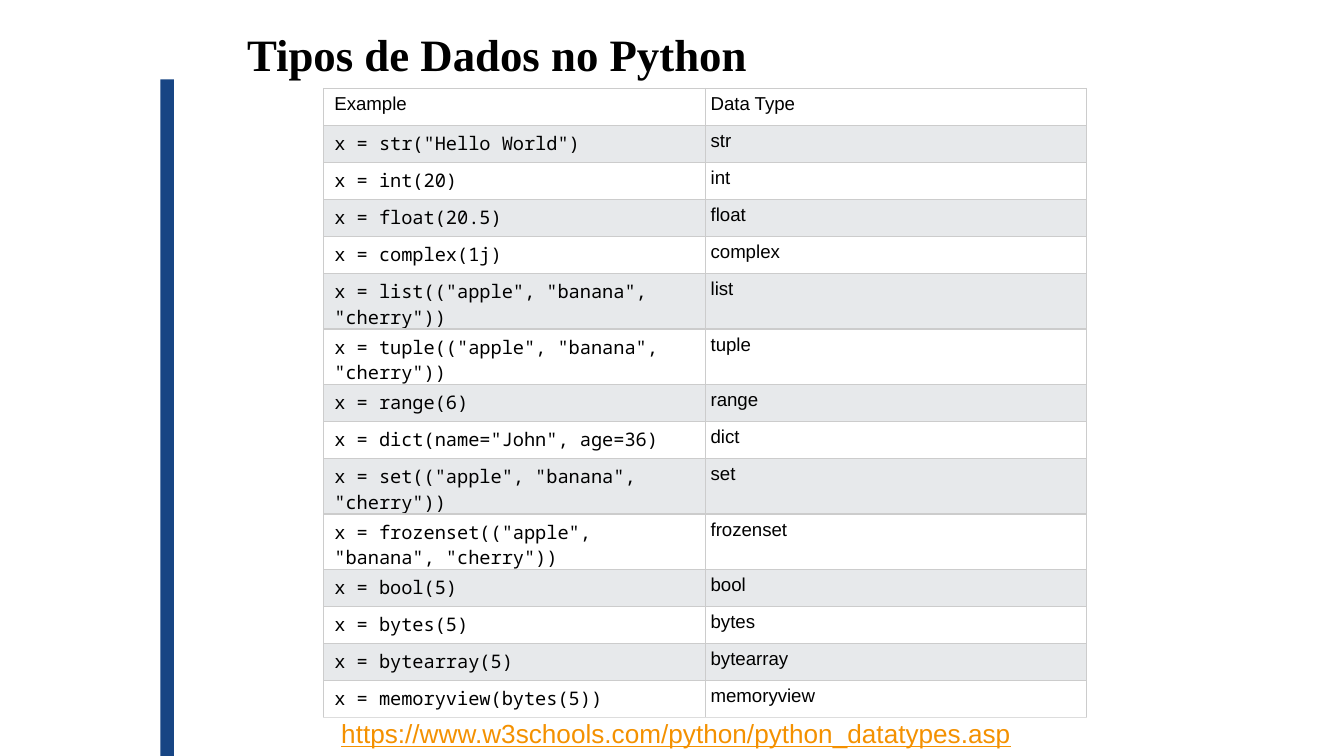
from lxml import etree
from pptx import Presentation
from pptx.dml.color import RGBColor
from pptx.enum import shapes
from pptx.oxml import ns
from pptx.util import Cm, Pt

# Content
title = "Tipos de Dados no Python"
link = "https://www.w3schools.com/python/python_datatypes.asp"
head = ("Example", "Data Type")
rows = [
    ('x = str("Hello World")', "str"),
    ("x = int(20)", "int"),
    ("x = float(20.5)", "float"),
    ("x = complex(1j)", "complex"),
    ('x = list(("apple", "banana", "cherry"))', "list"),
    ('x = tuple(("apple", "banana", "cherry"))', "tuple"),
    ("x = range(6)", "range"),
    ('x = dict(name="John", age=36)', "dict"),
    ('x = set(("apple", "banana", "cherry"))', "set"),
    ('x = frozenset(("apple", "banana", "cherry"))', "frozenset"),
    ("x = bool(5)", "bool"),
    ("x = bytes(5)", "bytes"),
    ("x = bytearray(5)", "bytearray"),
    ("x = memoryview(bytes(5))", "memoryview"),
]
colors = {"bar": "174584", "text": "000000", "link": "F49100", "plain": "FFFFFF",
          "band": "E7E9EB", "line": "CCCCCC", "last": "DDDDDD"}
sans, serif, mono = "Arial", "Times New Roman", "Noto Sans Mono"


def color(name):
    return RGBColor.from_string(colors[name])


def style(frame, face, size, name):
    font = frame.paragraphs[0].runs[0].font
    font.name, font.size = face, Pt(size)
    font.color.rgb = color(name)
    return font


def add_text(words, box, face, size, name):
    frame = slide.shapes.add_textbox(*map(Cm, box)).text_frame
    frame.word_wrap = True
    frame.text = words
    return style(frame, face, size, name)


def add_lines(cell, last):
    props = cell._tc.get_or_add_tcPr()
    for at, side in enumerate(("lnL", "lnR", "lnT", "lnB")):
        line = etree.Element(ns.qn("a:" + side), w=str(Pt(0.75)))
        fill = etree.SubElement(line, ns.qn("a:solidFill"))
        shade = "last" if last and side == "lnB" else "line"
        etree.SubElement(fill, ns.qn("a:srgbClr"), val=colors[shade])
        props.insert(at, line)


deck = Presentation()
deck.slide_width, deck.slide_height = Cm(25.4), Cm(14.28)
slide = deck.slides.add_slide(deck.slide_layouts[6])

# Side bar
bar = slide.shapes.add_shape(shapes.MSO_SHAPE.RECTANGLE,
                             Cm(3.03), Cm(1.5), Cm(0.26), Cm(12.78))
bar.shadow.inherit = False
bar.fill.solid()
bar.fill.fore_color.rgb = color("bar")
bar.line.fill.background()

# Title
add_text(title, (4.42, 0.38, 20.9, 1.27), serif, 24, "text").bold = True

# Table of types
wide, high = 7.21, 0.7
count = len(rows) + 1
table = slide.shapes.add_table(count, 2, Cm(6.12), Cm(1.67),
                               Cm(2 * wide), Cm(count * high)).table
table.first_row = table.horz_banding = False
for r, row in enumerate([head] + rows):
    table.rows[r].height = Cm(high)
    for c, words in enumerate(row):
        cell = table.cell(r, c)
        cell.text = words
        cell.margin_left = Cm(0.1 if c else 0.2)
        cell.margin_right = cell.margin_top = cell.margin_bottom = Cm(0.1)
        style(cell.text_frame, mono if r and c == 0 else sans, 10, "text")
        cell.fill.solid()
        cell.fill.fore_color.rgb = color("band" if r % 2 else "plain")
        add_lines(cell, r == count - 1)

# Source link
add_text(link, (6.2, 13.43, 13.23, 0.85), sans, 14, "link").underline = True

deck.save("out.pptx")
